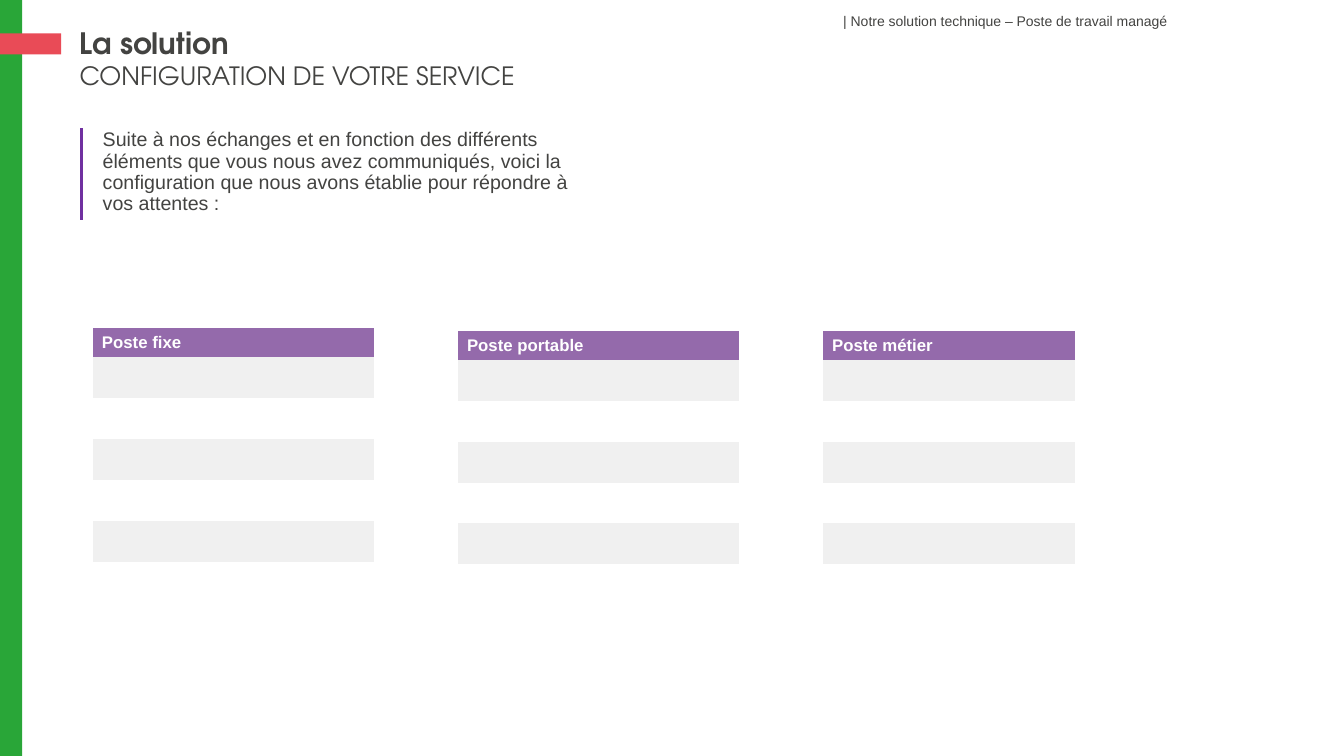
import pptx
import pptx.util
import pptx.dml.color
import pptx.enum.shapes
import pptx.enum.text
from lxml import etree
from pptx.util import Cm, Pt

DARK, WHITE, PURPLE, GREY = "434341", "FFFFFF", "946AAB", "F0F0F0"
HEADER_HEIGHT, ROW_HEIGHT = Cm(0.74), Cm(1.03)
STRIPED_ROWS = 5


def rgb(value):
    return pptx.dml.color.RGBColor.from_string(value)


def style(paragraph, size, color=DARK, bold=False, font="Arial"):
    for run in paragraph.runs:
        run.font.name = font
        run.font.size = Pt(size)
        run.font.bold = bold
        run.font.color.rgb = rgb(color)


def set_title(slide, heading, subheading):
    title = slide.shapes.title
    title.left, title.top, title.width, title.height = Cm(1.75), Cm(0.51), Cm(12.24), Cm(2.21)
    frame = title.text_frame
    frame.word_wrap = True
    frame.auto_size = pptx.enum.text.MSO_AUTO_SIZE.NONE
    frame.vertical_anchor = pptx.enum.text.MSO_ANCHOR.TOP
    frame.text = f"{heading}\n{subheading}"
    for paragraph, size, bold in zip(frame.paragraphs, (21, 18), (True, False)):
        paragraph.alignment = pptx.enum.text.PP_ALIGN.LEFT
        paragraph.space_before = Pt(0)
        style(paragraph, size, bold=bold, font="TeX Gyre Adventor")


def add_text(slide, left, top, width, height, text, size, wrap=True, line_spacing=1.0):
    frame = slide.shapes.add_textbox(left, top, width, height).text_frame
    frame.word_wrap = wrap
    if not wrap:
        frame.auto_size = pptx.enum.text.MSO_AUTO_SIZE.SHAPE_TO_FIT_TEXT
    frame.text = text
    frame.paragraphs[0].line_spacing = line_spacing
    style(frame.paragraphs[0], size)


def add_bar(slide, top, width, height, color):
    """Add a plain rectangle that starts at the left edge of the slide."""
    bar = slide.shapes.add_shape(
        pptx.enum.shapes.MSO_SHAPE.RECTANGLE, 0, top, width, height)
    bar.shadow.inherit = False
    bar.fill.solid()
    bar.fill.fore_color.rgb = rgb(color)
    bar.line.fill.background()


def add_vertical_rule(slide, left, top, bottom, color, weight):
    rule = slide.shapes.add_connector(
        pptx.enum.shapes.MSO_CONNECTOR.STRAIGHT, left, top, left, bottom)
    rule.line.color.rgb = rgb(color)
    rule.line.width = Pt(weight)
    etree.SubElement(rule.element.spPr, pptx.oxml.ns.qn("a:effectLst"))


def add_workstation_table(slide, left, top, width, heading, empty_rows):
    """Add a one-column table: a heading, then striped rows to fill in."""
    height = HEADER_HEIGHT + empty_rows * ROW_HEIGHT
    table = slide.shapes.add_table(empty_rows + 1, 1, left, top, width, height).table
    for index, row in enumerate(table.rows):
        row.height = ROW_HEIGHT if index else HEADER_HEIGHT
        cell = row.cells[0]
        striped = index % 2 == 1 and index <= STRIPED_ROWS
        cell.fill.solid()
        cell.fill.fore_color.rgb = rgb(PURPLE if index == 0 else GREY if striped else WHITE)
        for side in ("lnL", "lnR", "lnT", "lnB"):
            border = etree.Element(pptx.oxml.ns.qn(f"a:{side}"), w="0")
            etree.SubElement(border, pptx.oxml.ns.qn("a:noFill"))
            properties = cell.fill._xPr
            properties.insert(len(properties) - 1, border)
    header = table.cell(0, 0)
    header.margin_left = header.margin_right = Cm(0.23)
    header.margin_top = header.margin_bottom = Cm(0.1)
    header.vertical_anchor = pptx.enum.text.MSO_ANCHOR.MIDDLE
    header.text_frame.text = heading
    style(header.text_frame.paragraphs[0], 12, WHITE, bold=True)


def main():
    presentation = pptx.Presentation()
    presentation.slide_width, presentation.slide_height = Cm(33.87), Cm(19.05)
    slide = presentation.slides.add_slide(presentation.slide_layouts[5])

    add_bar(slide, 0, Cm(0.56), presentation.slide_height, "29A638")
    add_bar(slide, Cm(0.84), Cm(1.54), Cm(0.53), "E94B57")
    set_title(slide, "La solution", "CONFIGURATION DE VOTRE SERVICE")
    add_text(slide, Cm(21), Cm(0.2), Cm(8.71), Cm(0.69),
             "| Notre solution technique – Poste de travail managé", 10, wrap=False)

    add_vertical_rule(slide, Cm(2.06), Cm(3.23), Cm(5.54), "7030A0", 2)
    add_text(slide, Cm(2.34), Cm(3.15), Cm(12.67), Cm(1.7),
             "Suite à nos échanges et en fonction des différents éléments que vous nous "
             "avez communiqués, voici la configuration que nous avons établie pour "
             "répondre à vos attentes :", 14, line_spacing=0.9)

    workstations = [
        ("Poste fixe", 8.26, 7.09, 10),
        ("Poste portable", 8.33, 7.09, 6),
        ("Poste métier", 8.33, 6.35, 6),
    ]
    for column, (heading, top, width, empty_rows) in enumerate(workstations):
        add_workstation_table(slide, Cm(2.34 + 9.2 * column), Cm(top), Cm(width),
                              heading, empty_rows)

    presentation.save("out.pptx")


if __name__ == "__main__":
    main()
